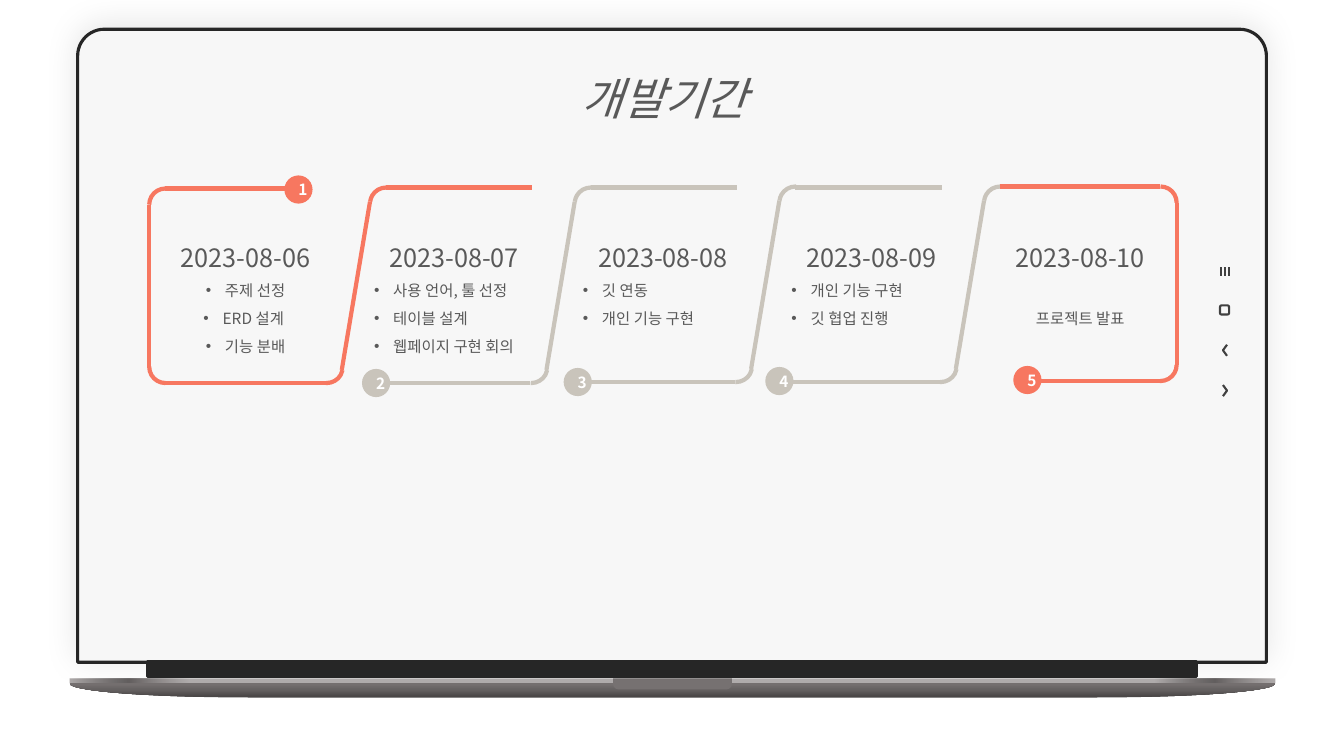
from lxml.etree import SubElement
from pptx import Presentation
from pptx.dml.color import RGBColor
from pptx.enum.shapes import MSO_CONNECTOR, MSO_SHAPE as SHAPE
from pptx.enum.text import MSO_ANCHOR as ANCHOR, MSO_AUTO_SIZE as AUTO, PP_ALIGN as ALIGN
from pptx.oxml.ns import qn
from pptx.util import Inches, Pt

CORAL, GREY, INK, WHITE = "F77760", "C9C4BB", "595959", "FFFFFF"
BLACK, ICON, STEEL = "262626", "404040", "767171"
FONT = "Noto Sans CJK KR"


def rgb(value):
    return RGBColor.from_string(value)


def write(p, text, size=11, color=INK, bold=False, italic=False,
          align=ALIGN.LEFT, spacing=1.0, before=0, bullet=False):
    p.alignment, p.line_spacing = align, spacing
    p.space_before, p.space_after = Pt(before), Pt(0)
    pPr = p._p.get_or_add_pPr()
    indent = Inches(0.19) if bullet else 0
    pPr.set("marL", str(indent))
    pPr.set("indent", str(-indent))
    if bullet:
        SubElement(pPr, qn("a:buFont"), typeface="Arial")
        SubElement(pPr, qn("a:buChar"), char="•")
    else:
        SubElement(pPr, qn("a:buNone"))
    r = p.add_run()
    r.text = text
    f = r.font
    f.name, f.size, f.bold, f.italic = FONT, Pt(size), bold, italic
    f.color.rgb = rgb(color)
    SubElement(r._r.get_or_add_rPr(), qn("a:ea"), typeface=FONT)


class Deck:
    corner = 0.32
    stroke = 3

    def __init__(self):
        self.prs = Presentation()
        self.prs.slide_width, self.prs.slide_height = Inches(13.33), Inches(7.5)
        self.slide = self.prs.slides.add_slide(self.prs.slide_layouts[4])
        self.shapes = self.slide.shapes

    def style(self, sp, fill=None, line=None, width=1.5):
        sp.shadow.inherit = False
        if fill:
            sp.fill.solid()
            sp.fill.fore_color.rgb = rgb(fill)
        else:
            sp.fill.background()
        if line:
            sp.line.color.rgb = rgb(line)
            sp.line.width = Pt(width)
        else:
            sp.line.fill.background()

    def shape(self, kind, x, y, w, h, adj=(), rot=0, **look):
        sp = self.shapes.add_shape(kind, Inches(x), Inches(y), Inches(w), Inches(h))
        for i, value in enumerate(adj):
            sp.adjustments[i] = value
        sp.rotation = rot
        self.style(sp, **look)
        return sp

    def gradient(self, sp, angle, fade=False):
        sp.fill.gradient()
        sp.fill.gradient_angle = angle
        stops = sp._element.spPr.find(".//" + qn("a:gsLst"))
        for stop in list(stops):
            stops.remove(stop)
        for pos, color in ((0, "464343"), (50, "635F5F"), (100, STEEL)):
            stop = SubElement(stops, qn("a:gs"), pos=str(pos * 1000))
            clr = SubElement(stop, qn("a:srgbClr"), val=color)
            if fade and pos != 50:
                SubElement(clr, qn("a:alpha"), val="0")

    def glow(self, sp):
        effects = sp._element.spPr.find(qn("a:effectLst"))
        shadow = SubElement(effects, qn("a:outerShdw"), blurRad=str(Pt(24)), dist=str(Pt(3)),
                            dir="16200000", rotWithShape="0")
        clr = SubElement(shadow, qn("a:srgbClr"), val="000000")
        SubElement(clr, qn("a:alpha"), val="10000")

    def line(self, x1, y1, x2, y2, color, width=stroke):
        cn = self.shapes.add_connector(MSO_CONNECTOR.STRAIGHT, Inches(x1), Inches(y1),
                                       Inches(x2), Inches(y2))
        cn.line.color.rgb = rgb(color)
        cn.line.width = Pt(width)
        SubElement(cn._element.spPr, qn("a:effectLst"))

    def chevron(self, y, tail, tip):
        fb = self.shapes.build_freeform(Inches(tail), Inches(y), scale=1.0)
        fb.add_line_segments([(Inches(tip), Inches(y + 0.055)),
                              (Inches(tail), Inches(y + 0.11))], close=False)
        self.style(fb.convert_to_shape(), line=ICON)

    def arc(self, x, y, rot, adj, color):
        self.shape(SHAPE.ARC, x, y, self.corner, self.corner, adj, rot,
                   line=color, width=self.stroke)

    def end_bracket(self, turned=False):
        def point(x, y):
            return (13.15 - x, 5.65 - y) if turned else (x, y)

        for y, rot, end in ((1.87, 270, 1.172), (3.48, 180, 0.945)):
            shift = self.corner if turned else 0
            x, y = point(1.48 + shift, y + shift)
            self.arc(x, y, (rot + 180 * turned) % 360, (162, end), CORAL)
        self.line(*point(1.64, 1.87), *point(2.9, 1.87), CORAL)
        self.line(*point(1.48, 2.03), *point(1.48, 3.64), CORAL)

    def link(self, x, dy, color, top=True):
        self.line(x - 1.75, 3.8 + dy, x - 0.16, 3.8 + dy, color)
        self.arc(x - 0.31, 3.48 + dy, 90, (168.607, 1.459), color)
        self.line(x, 3.67 + dy, x + 0.28, 2 + dy, color)
        self.arc(x + 0.28, 1.86 + dy, 270, (166.35, 1.263), color)
        if top:
            self.line(x + 0.44, 1.86, x + 1.89, 1.86, color)

    def frame(self, sp, x, y, w, h):
        sp.left, sp.top, sp.width, sp.height = Inches(x), Inches(y), Inches(w), Inches(h)
        self.shapes._spTree.append(sp._element)
        tf = sp.text_frame
        tf.word_wrap, tf.auto_size, tf.vertical_anchor = True, AUTO.NONE, ANCHOR.TOP
        return tf

    def title(self, text):
        tf = self.frame(self.shapes.title, 4.75, 0.65, 3.68, 0.64)
        write(tf.paragraphs[0], text, size=32, italic=True, align=ALIGN.CENTER)

    def day(self, sp, x, date, items, **fmt):
        tf = self.frame(sp, x, 2.2, 1.79, 1.35 if len(items) > 2 else 1.07)
        write(tf.paragraphs[0], date, size=18, align=ALIGN.CENTER, spacing=1.5)
        for item in items:
            write(tf.add_paragraph(), item, spacing=1.5, **fmt)

    def badge(self, x, y, number, color):
        sp = self.shape(SHAPE.OVAL, x, y, 0.28, 0.28, fill=color)
        sp.text_frame.vertical_anchor = ANCHOR.MIDDLE
        write(sp.text_frame.paragraphs[0], str(number), color=WHITE, bold=True,
              align=ALIGN.CENTER)

    def laptop(self):
        screen = self.shape(SHAPE.ROUND_2_SAME_RECTANGLE, 0.77, 0.29, 11.79, 6.28,
                            (0.042, 0), fill="F7F7F7", line=BLACK, width=2.25)
        self.glow(screen)
        self.shape(SHAPE.RECTANGLE, 1.46, 6.56, 10.41, 0.15, fill=BLACK, line=BLACK, width=2.25)
        self.shape(SHAPE.RECTANGLE, 0.69, 6.73, 11.96, 0.05, fill="AFABAB")
        for x in (0.69, 11.46):
            self.gradient(self.shape(SHAPE.RECTANGLE, x, 6.73, 1.18, 0.05), 0, fade=True)
        base = self.shape(SHAPE.RIGHT_BRACKET, 6.6, 0.87, 0.14, 11.96, (12.953,), 90)
        self.gradient(base, 180)
        self.shape(SHAPE.ROUND_2_SAME_RECTANGLE, 6.08, 6.73, 1.18, 0.11, (0, 0.5), fill=STEEL)

    def icons(self):
        for i in range(3):
            x = 12.11 + 0.04 * i
            self.line(x, 2.65, x, 2.74, ICON, 1.5)
        self.shape(SHAPE.ROUNDED_RECTANGLE, 12.1, 3.03, 0.09, 0.09, line=ICON)
        self.chevron(3.42, 12.17, 12.13)
        self.chevron(3.82, 12.13, 12.17)


def main():
    deck = Deck()
    deck.laptop()
    deck.icons()

    deck.end_bracket()
    for i, color in enumerate((CORAL, GREY, GREY, GREY)):
        deck.link(3.39 + 2.03 * i, 0 if i < 2 else -0.01, color, top=i < 3)
    deck.end_bracket(turned=True)
    deck.line(11.51, 1.85, 9.92, 1.85, CORAL)

    days = [("2023-08-06", ["주제 선정", "ERD 설계 ", "기능 분배"]),
            ("2023-08-07", ["사용 언어, 툴 선정", "테이블 설계", "웹페이지 구현 회의"]),
            ("2023-08-08", ["깃 연동", "개인 기능 구현"]),
            ("2023-08-09", ["개인 기능 구현", "깃 협업 진행"])]
    bodies = [sp for sp in deck.slide.placeholders if 1 <= sp.placeholder_format.idx <= 4]
    for i, (sp, (date, items)) in enumerate(zip(bodies, days)):
        deck.day(sp, 1.54 + 2.07 * i, date, items, bullet=True,
                 align=ALIGN.LEFT if i else ALIGN.CENTER)
    deck.day(deck.shapes.add_textbox(0, 0, 0, 0), 9.82, "2023-08-10", ["프로젝트 발표"],
             align=ALIGN.CENTER, before=20)

    badges = ((2.82, 1.74, CORAL), (3.59, 3.66, GREY), (5.59, 3.65, GREY),
              (7.59, 3.64, GREY), (10.05, 3.63, CORAL))
    for number, (x, y, color) in enumerate(badges, 1):
        deck.badge(x, y, number, color)
    deck.title("개발기간")
    deck.prs.save("out.pptx")


if __name__ == "__main__":
    main()
